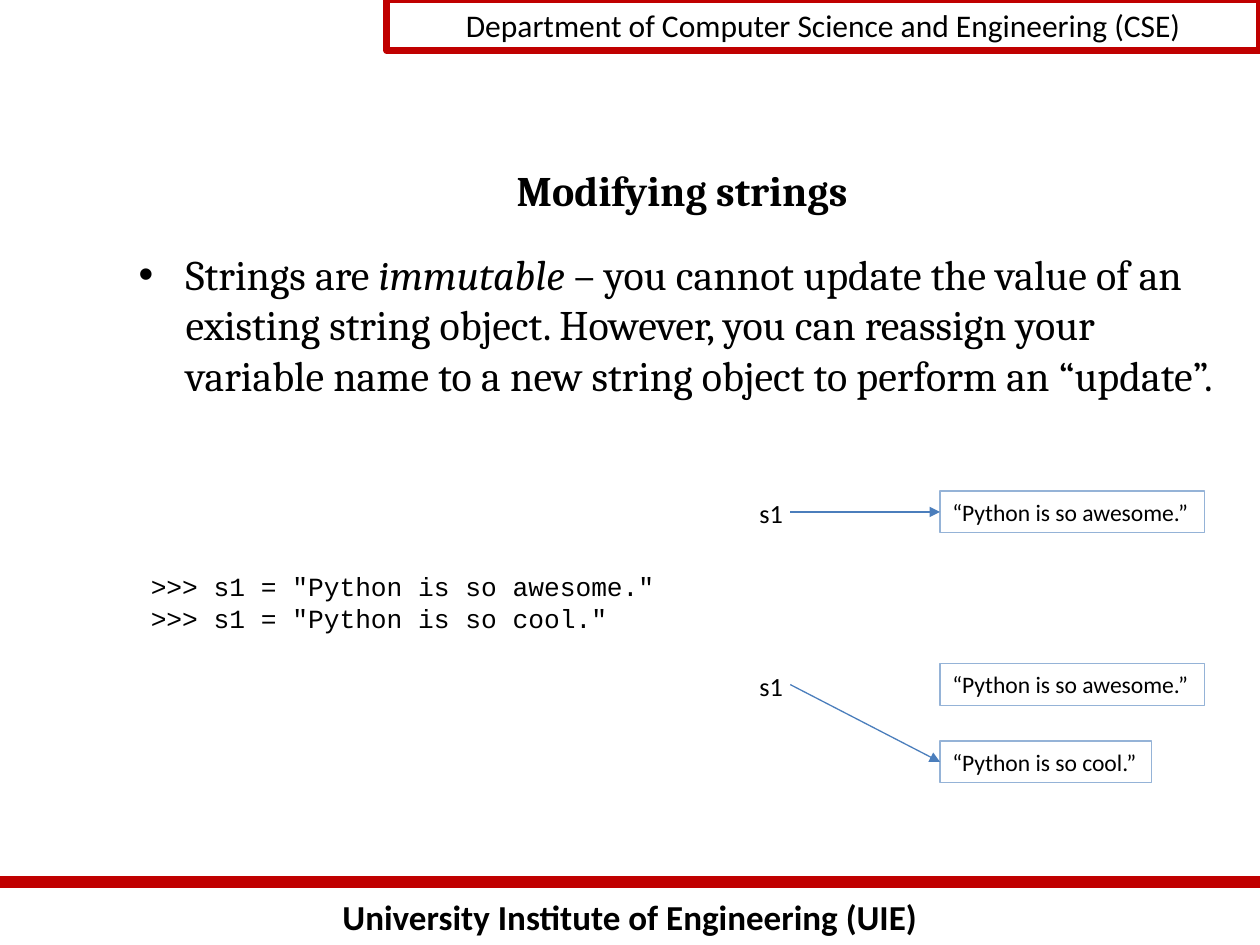
from pptx import Presentation
from pptx.dml.color import RGBColor
from pptx.enum.shapes import MSO_CONNECTOR, MSO_SHAPE
from pptx.enum.text import MSO_ANCHOR, MSO_AUTO_SIZE, PP_ALIGN
from pptx.oxml.ns import qn
from pptx.util import Cm, Pt
from lxml.etree import SubElement

BLACK = RGBColor(0x00, 0x00, 0x00)
RED = RGBColor(0xC0, 0x00, 0x00)
PALE_BLUE = RGBColor(0x95, 0xB3, 0xD7)
BLUE = RGBColor(0x4B, 0x7E, 0xBC)

DEPARTMENT = "Department of Computer Science and Engineering (CSE)"
INSTITUTE = "University Institute of Engineering (UIE)"
TITLE = "Modifying strings"
BODY = [
    ("Strings are ", False),
    ("immutable", True),
    (" – you cannot update the value of an existing string object. However, "
     "you can reassign your variable name to a new string object to perform "
     "an “update”.", False),
]
CODE = ['>>> s1 = "Python is so awesome."', '>>> s1 = "Python is so cool."']
AWESOME, COOL = ("“Python is so awesome.”", 5.33), ("“Python is so cool.”", 4.27)

# Each state of memory: top of its first row, string objects (text, width), object s1 names
STATES = [
    (9.9, [AWESOME], 0),
    (13.38, [AWESOME, COOL], 1),
]
NAME_X, NAME_W, NAME_H = 15.06, 0.99, 0.89
ARROW_X, OBJECT_X, OBJECT_H, OBJECT_STEP = 15.93, 18.95, 0.84, 1.56

CODE_FONT = {"name": "Courier New", "size": Pt(15)}
HEADER_FONT = {"name": "Calibri", "size": Pt(18)}
FOOTER_FONT = {"name": "Calibri", "size": Pt(20), "bold": True}
TITLE_FONT = {"name": "Cambria", "size": Pt(24), "bold": True}
BODY_FONT = {"name": "Cambria", "size": Pt(24)}
NAME_FONT = {"name": "Calibri", "size": Pt(15)}
OBJECT_FONT = {"name": "Calibri", "size": Pt(13.5)}


def place(sp, x, y, w, h):
    sp.left, sp.top, sp.width, sp.height = Cm(x), Cm(y), Cm(w), Cm(h)


def add_run(p, text, font):
    p.add_run().text = text
    for r in p.runs:
        for key, value in font.items():
            setattr(r.font, key, value)
        r.font.color.rgb = BLACK


def write(sp, text, font, align=PP_ALIGN.LEFT, wrap=True):
    tf = sp.text_frame
    tf.word_wrap = wrap
    tf.auto_size = MSO_AUTO_SIZE.NONE
    p = tf.paragraphs[0]
    p.text, p.alignment = text, align
    for r in p.runs:
        for key, value in font.items():
            setattr(r.font, key, value)
        r.font.color.rgb = BLACK


def add_text(s, box, text, font, **layout):
    sp = s.shapes.add_textbox(*map(Cm, box))
    write(sp, text, font, **layout)


def add_box(s, box, text, font, color, width, **layout):
    sp = s.shapes.add_shape(MSO_SHAPE.RECTANGLE, *map(Cm, box))
    sp.shadow.inherit = False
    sp.fill.background()
    sp.line.color.rgb, sp.line.width = color, Pt(width)
    write(sp, text, font, **layout)
    return sp


def add_line(s, start, end, color, width):
    c = s.shapes.add_connector(MSO_CONNECTOR.STRAIGHT, *map(Cm, start + end))
    c.line.color.rgb, c.line.width = color, Pt(width)
    SubElement(c._element.spPr, qn("a:effectLst"))
    return c


def add_frame(s):
    """Department header and institute footer."""
    add_text(s, (0, 17.93, 25.4, 1.12), INSTITUTE, FOOTER_FONT, align=PP_ALIGN.CENTER)
    add_line(s, (0, 17.78), (25.4, 17.78), RED, 7)
    add_box(s, (7.8, 0, 17.6, 1.02), DEPARTMENT, HEADER_FONT, RED, 4,
            align=PP_ALIGN.CENTER)


def fill_title(sp):
    place(sp, 2.74, 2.97, 22.02, 1.7)
    write(sp, TITLE, TITLE_FONT, align=PP_ALIGN.CENTER)
    sp.text_frame.vertical_anchor = MSO_ANCHOR.MIDDLE


def fill_body(sp):
    place(sp, 2.54, 4.88, 22.23, 12.5)
    tf = sp.text_frame
    tf.auto_size = MSO_AUTO_SIZE.NONE
    p = tf.paragraphs[0]
    p.space_before = Pt(0)
    pPr = p._p.get_or_add_pPr()
    pPr.set("marL", str(Cm(0.95)))
    pPr.set("indent", str(Cm(-0.95)))
    SubElement(pPr, qn("a:buFont")).set("typeface", "Arial")
    SubElement(pPr, qn("a:buChar")).set("char", "•")
    for text, italic in BODY:
        r = p.add_run()
        r.text = text
        for key, value in {**BODY_FONT, "italic": italic}.items():
            setattr(r.font, key, value)
        r.font.color.rgb = BLACK


def add_state(s, top, objects, target):
    """The name s1, the string objects and the arrow from one to the other."""
    add_text(s, (NAME_X, top, NAME_W, NAME_H), "s1", NAME_FONT, wrap=False)
    boxes = [
        add_box(s, (OBJECT_X, top + i * OBJECT_STEP, w, OBJECT_H), text,
                OBJECT_FONT, PALE_BLUE, 0.75, wrap=False)
        for i, (text, w) in enumerate(objects)
    ]
    y = top + OBJECT_H / 2
    arrow = add_line(s, (ARROW_X, y), (OBJECT_X, y), BLUE, 0.75)
    arrow.end_connect(boxes[target], 1)
    SubElement(arrow.line._get_or_add_ln(), qn("a:tailEnd")).set("type", "triangle")


def main():
    prs = Presentation()
    prs.slide_width, prs.slide_height = Cm(25.4), Cm(19.05)
    s = prs.slides.add_slide(prs.slide_layouts[1])
    add_frame(s)
    fill_title(s.shapes.title)
    fill_body(s.placeholders[1])
    add_text(s, (2.79, 11.38, 12.7, 1.55), "\v".join(CODE), CODE_FONT)
    for state in STATES:
        add_state(s, *state)
    prs.save("out.pptx")


if __name__ == "__main__":
    main()
